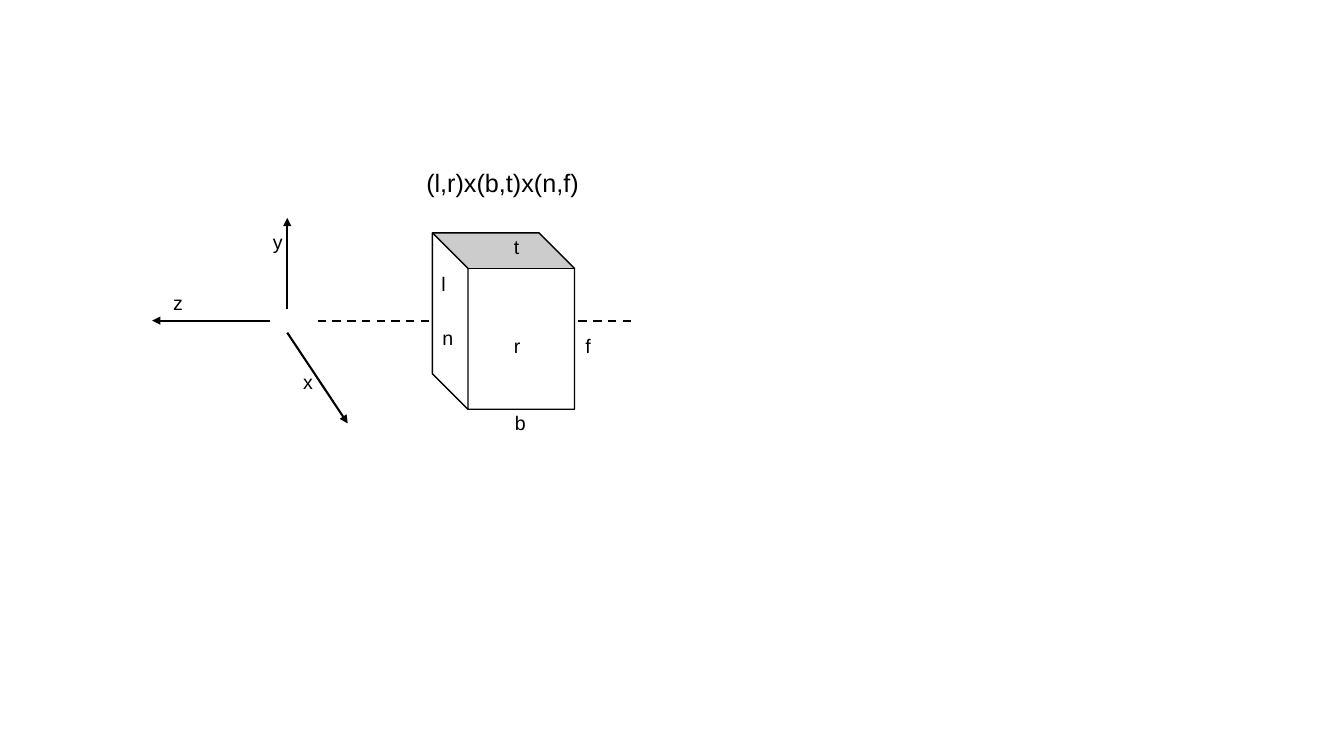
from dataclasses import dataclass

from lxml.etree import SubElement
from pptx import Presentation
from pptx.dml.color import RGBColor as RGB
from pptx.enum.dml import MSO_LINE as DASH
from pptx.enum.shapes import MSO_CONNECTOR as CONN, MSO_SHAPE as SHAPE
from pptx.oxml.ns import qn
from pptx.util import Pt


@dataclass(frozen=True)
class Theme:
    ink: RGB = RGB(0, 0, 0)
    face: RGB = RGB(255, 255, 255)
    font: str = "Arial"
    label: float = 14
    title: float = 18
    axis: float = 1.5
    edge: float = 1


@dataclass(frozen=True)
class Box:
    x: float
    y: float
    w: float
    h: float


T = Theme()
LABEL_W, LABEL_H = 17.3, 24.4


def add_text(shapes, text, x, y, w=LABEL_W, h=LABEL_H, size=T.label, wrap=True):
    sp = shapes.add_textbox(Pt(x), Pt(y), Pt(w), Pt(h))
    tf = sp.text_frame
    tf.word_wrap = wrap
    r = tf.paragraphs[0].add_run()
    r.text = text
    r.font.name, r.font.size = T.font, Pt(size)
    r.font.color.rgb = T.ink


def add_line(shapes, x1, y1, x2, y2, arrow=False, dash=None):
    cn = shapes.add_connector(CONN.STRAIGHT, Pt(x1), Pt(y1), Pt(x2), Pt(y2))
    cn.line.width = Pt(T.axis)
    cn.line.color.rgb = T.ink
    if dash:
        cn.line.dash_style = dash
    if arrow:
        SubElement(cn.line._get_or_add_ln(), qn("a:tailEnd"), type="triangle")
    SubElement(cn._element.spPr, qn("a:effectLst"))


def draw_axes(shapes, box):
    """Three axes around an open origin, with their names."""
    ox, oy = box.x + 96.5, box.y + box.h / 2
    left, right = box.x - ox, box.x + box.w - ox
    half = box.h / 2
    # name, start, end and label position, all from the origin
    axes = [
        ("y", (0, -8), (0, -half), (-17.3, -68.4)),
        ("z", (-12.2, 0), (left, 0), (-88.6, -24.5)),
        ("x", (0, 8.6), (right, half), (4.3, 31.6)),
    ]
    for name, (x1, y1), (x2, y2), (lx, ly) in axes:
        add_line(shapes, ox + x1, oy + y1, ox + x2, oy + y2, arrow=True)
        add_text(shapes, name, ox + lx, oy + ly)


def draw_view_line(shapes, box):
    """Dashed line that enters and leaves the view volume."""
    y = box.y + box.h / 2
    right = box.x + box.w
    for start, end in [(box.x + 18.7, box.x - 84.3), (right + 40.3, right)]:
        add_line(shapes, start, y, end, y, dash=DASH.DASH)


def draw_volume(shapes, box):
    """View volume with a letter on each side."""
    group = shapes.add_group_shape().shapes
    # The cube is turned, so its width and height change places
    x = box.x + (box.w - box.h) / 2
    y = box.y + (box.h - box.w) / 2
    sp = group.add_shape(SHAPE.CUBE, Pt(x), Pt(y), Pt(box.h), Pt(box.w))
    sp.rotation = 270
    sp.shadow.inherit = False
    sp.fill.solid()
    sp.fill.fore_color.rgb = T.face
    sp.line.color.rgb = T.ink
    sp.line.width = Pt(T.edge)
    sides = [("r", 51.1, 68.4), ("n", 0, 62.7), ("t", 51.1, -2.1),
             ("b", 51.8, 123.9), ("f", 102.2, 68.4), ("l", -0.7, 24.5)]
    for name, dx, dy in sides:
        add_text(group, name, box.x + dx, box.y + dy)


def draw_title(shapes, box):
    """Formula for the volume."""
    add_text(shapes, "(l,r)x(b,t)x(n,f)", box.x, box.y, box.w, box.h,
             size=T.title, wrap=False)


def main():
    prs = Presentation()
    prs.slide_width, prs.slide_height = Pt(960), Pt(540)
    shapes = prs.slides.add_slide(prs.slide_layouts[6]).shapes
    volume = Box(308.9, 166.3, 101.5, 126)
    draw_axes(shapes, Box(108.7, 155.6, 139.7, 146.9))
    draw_view_line(shapes, volume)
    draw_volume(shapes, volume)
    draw_title(shapes, Box(297.4, 115.9, 124.6, 28.8))
    prs.save("out.pptx")


if __name__ == "__main__":
    main()
